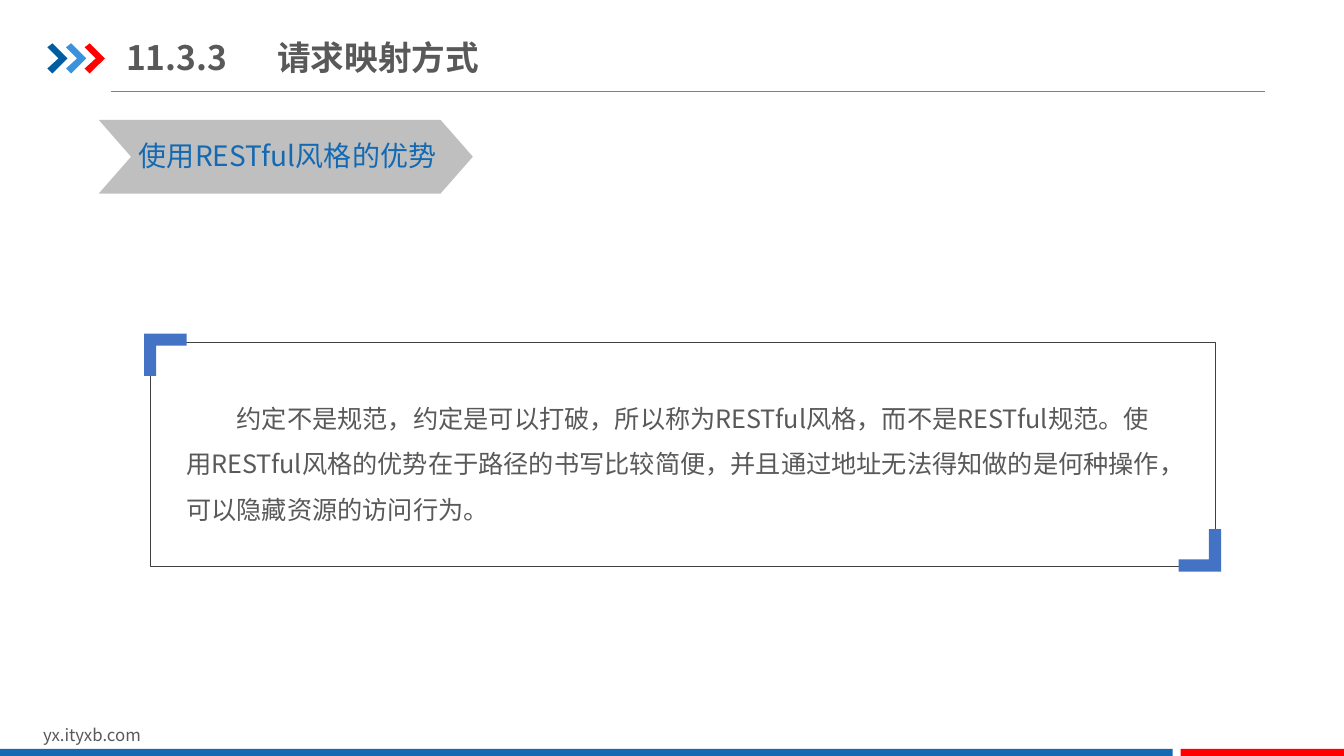
from lxml import etree
from pptx import Presentation
from pptx import util as u
from pptx.dml.color import RGBColor
from pptx.enum import shapes, text
from pptx.oxml import ns

FONT = "Noto Sans CJK SC"
COLORS = {
    "text": "595959", "blue": "1369B2", "red": "FF0000", "navy": "005DA2",
    "sky": "3992DB", "banner": "BFBFBF", "corner": "4472C4",
    "frame": "404040", "rule": "808080",
}


def paint(shape, fill=None, line=None, width=0.25):
    shape.shadow.inherit = False
    if fill:
        shape.fill.solid()
        shape.fill.fore_color.rgb = RGBColor.from_string(COLORS[fill])
    else:
        shape.fill.background()
    if line:
        shape.line.color.rgb = RGBColor.from_string(COLORS[line])
        shape.line.width = u.Pt(width)
    else:
        shape.line.fill.background()


def add_preset(page, kind, box, **style):
    shape = page.shapes.add_shape(kind, *map(u.Inches, box))
    paint(shape, **style)
    return shape


def add_outline(page, points, fill):
    corners = [(u.Inches(x), u.Inches(y)) for x, y in points]
    builder = page.shapes.build_freeform(*corners[0])
    builder.add_line_segments(corners[1:], close=True)
    paint(builder.convert_to_shape(), fill=fill)


def add_text(page, box, wording, size, color="text", bold=False, indent=0,
             tab=None, frame_format=None, para_format=None):
    frame = page.shapes.add_textbox(*map(u.Inches, box)).text_frame
    for name, value in {"word_wrap": True, **(frame_format or {})}.items():
        setattr(frame, name, value)
    para = frame.paragraphs[0]
    for name, value in (para_format or {}).items():
        setattr(para, name, value)
    props = para._p.get_or_add_pPr()
    props.set("indent", str(u.Inches(indent)))
    if tab:
        stops = etree.SubElement(props, ns.qn("a:tabLst"))
        etree.SubElement(stops, ns.qn("a:tab"), pos=str(u.Inches(tab)), algn="l")
    span = para.add_run()
    span.text = wording
    font_format = {"name": FONT, "size": u.Pt(size), "bold": bold}
    for name, value in font_format.items():
        setattr(span.font, name, value)
    span.font.color.rgb = RGBColor.from_string(COLORS[color])
    etree.SubElement(span._r.get_or_add_rPr(), ns.qn("a:ea"), typeface=FONT)


def add_header(page, box, title):
    left, top, width, height = box
    # Rule under the title
    rule = page.shapes.add_connector(
        shapes.MSO_CONNECTOR.STRAIGHT, u.Inches(left + 0.63), u.Inches(top + height),
        u.Inches(left + width), u.Inches(top + height))
    rule.line.color.rgb = RGBColor.from_string(COLORS["rule"])
    rule.line.width = u.Pt(0.5)
    etree.SubElement(rule._element.spPr, ns.qn("a:effectLst"))
    # Three arrowheads
    arrow = [(0, 0.04), (0.05, 0), (0.2, 0.15), (0.05, 0.3), (0, 0.25), (0.11, 0.15)]
    for index, color in enumerate(("navy", "sky", "red")):
        x = left + index * 0.185
        add_outline(page, [(x + dx, top + 0.14 + dy) for dx, dy in arrow], color)
    # Title
    add_text(page, (left + 0.78, top, 3.62, 0.55), title, 24, bold=True, tab=1.23,
             frame_format={"margin_left": 0, "margin_right": 0,
                           "vertical_anchor": text.MSO_ANCHOR.MIDDLE})


def add_banner(page, box, wording):
    left, top, width, height = box
    chevron = add_preset(page, shapes.MSO_SHAPE.CHEVRON, box, fill="banner")
    chevron.adjustments[0] = 0.438
    add_text(page, (left + 0.3, top + 0.14, width - 0.39, 0.44), wording, 20, "blue",
             frame_format={"auto_size": text.MSO_AUTO_SIZE.SHAPE_TO_FIT_TEXT})


def add_framed_text(page, box, wording):
    left, top, width, height = box
    add_text(page, (left + 0.26, top + 0.41, width - 0.62, 1.53), wording, 18,
             indent=0.5, para_format={"line_spacing": 1.5})
    add_preset(page, shapes.MSO_SHAPE.RECTANGLE, box, line="frame")
    # Corner brackets, the second turned half round
    bracket = [(0, 0), (0.42, 0), (0.42, 0.12), (0.12, 0.12), (0.12, 0.42), (0, 0.42)]
    for x, y, sign in ((left - 0.06, top - 0.08, 1),
                       (left + width + 0.06, top + height + 0.05, -1)):
        add_outline(page, [(x + sign * dx, y + sign * dy) for dx, dy in bracket], "corner")


def add_footer(page, box, address):
    left, top, width, height = box
    add_text(page, (left + 0.33, top - 0.29, 3.18, 0.3), address, 12,
             frame_format={"auto_size": text.MSO_AUTO_SIZE.SHAPE_TO_FIT_TEXT})
    # Blue and red bars with a gap between
    split, gap = 11.63, 0.08
    for x, bar_width, color in ((left, split, "blue"),
                                (left + split + gap, width - split - gap, "red")):
        add_preset(page, shapes.MSO_SHAPE.RECTANGLE, (x, top, bar_width, height), fill=color)


def main():
    deck = Presentation()
    deck.slide_width, deck.slide_height = u.Inches(13.33), u.Inches(7.5)
    page = deck.slides.add_slide(deck.slide_layouts[6])
    add_header(page, (0.47, 0.29, 12.08, 0.62), "11.3.3\t请求映射方式")
    add_footer(page, (0, 7.43, 13.33, 0.07), "yx.ityxb.com")
    add_banner(page, (0.98, 1.19, 3.71, 0.73), "使用RESTful风格的优势")
    add_framed_text(
        page, (1.49, 3.39, 10.56, 2.23),
        "约定不是规范，约定是可以打破，所以称为RESTful风格，而不是RESTful规范。"
        "使用RESTful风格的优势在于路径的书写比较简便，并且通过地址无法得知做的是何种操作，"
        "可以隐藏资源的访问行为。")
    deck.save("out.pptx")


if __name__ == "__main__":
    main()
